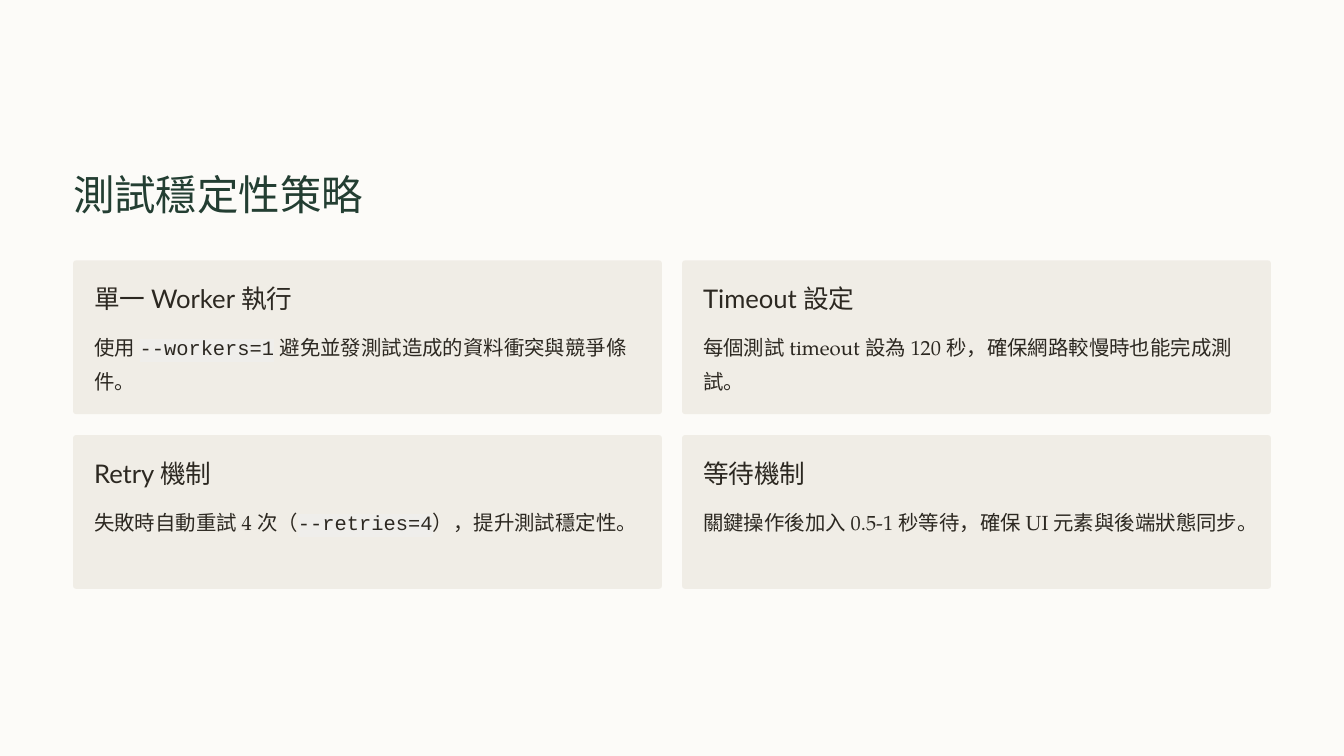
from pptx import Presentation
from pptx.dml.color import RGBColor
from pptx.enum.shapes import MSO_SHAPE
from pptx.oxml import parse_xml
from pptx.oxml.ns import nsdecls
from pptx.util import Inches, Pt

COLORS = {
    "page": "FCFBF8",
    "title": "233E32",
    "card": "F0EDE6",
    "ink": "2C2821",
    "code": "EFEEEB",
}
HEADING_FONT, BODY_FONT, CODE_FONT = "Lato", "TeX Gyre Pagella", "Courier New"

CARD_W, CARD_H = 7.01, 1.83
COLUMN_STEP, ROW_STEP = 7.25, 2.08
PADDING = 0.25

STRATEGIES = [
    ("單一 Worker 執行",
     ["使用 ", "--workers=1", " 避免並發測試造成的資料衝突與競爭條件。"], True),
    ("Timeout 設定",
     ["每個測試 timeout 設為 120 秒，確保網路較慢時也能完成測試。"], True),
    ("Retry 機制",
     ["失敗時自動重試 4 次（", "--retries=4", "），提升測試穩定性。"], False),
    ("等待機制",
     ["關鍵操作後加入 0.5-1 秒等待，確保 UI 元素與後端狀態同步。"], True),
]


def rgb(name):
    return RGBColor.from_string(COLORS[name])


def highlight(run):
    mark = parse_xml(
        f'<a:highlight {nsdecls("a")}><a:srgbClr val="{COLORS["code"]}"/></a:highlight>')
    run.font.name = CODE_FONT
    run.font.fill.solid()
    run.font.color.rgb = rgb("ink")
    run.font.fill._xPr.find(
        "{http://schemas.openxmlformats.org/drawingml/2006/main}solidFill").addnext(mark)


def add_text(slide, box, parts, font, size, spacing, color, wrap=False):
    frame = slide.shapes.add_textbox(*map(Inches, box)).text_frame
    frame.margin_left = frame.margin_right = frame.margin_top = frame.margin_bottom = 0
    frame.word_wrap = wrap
    paragraph = frame.paragraphs[0]
    paragraph.line_spacing = Pt(spacing)
    paragraph.font.size = Pt(size)
    paragraph.font.color.rgb = rgb(color)
    if len(parts) == 1:
        paragraph.font.name = font
    for part in parts:
        run = paragraph.add_run()
        run.text = part
        if part.startswith("--"):
            highlight(run)
        elif len(parts) > 1:
            run.font.name = font


def add_card(slide, left, top, heading, description, wrap):
    card = slide.shapes.add_shape(
        MSO_SHAPE.ROUNDED_RECTANGLE, *map(Inches, (left, top, CARD_W, CARD_H)))
    card.adjustments[0] = 0.02
    card.shadow.inherit = False
    card.fill.solid()
    card.fill.fore_color.rgb = rgb("card")
    card.line.fill.background()
    text_left, text_width = left + PADDING, CARD_W - 2 * PADDING
    add_text(slide, (text_left, top + PADDING, 3.1, 0.39), [heading],
             HEADING_FONT, 22, 27.5, "ink")
    add_text(slide, (text_left, top + 0.79, text_width, 0.8), description,
             BODY_FONT, 17.5, 28.5, "ink", wrap)


def add_strategy_grid(slide, left, top):
    for index, strategy in enumerate(STRATEGIES):
        row, column = divmod(index, 2)
        add_card(slide, left + column * COLUMN_STEP, top + row * ROW_STEP, *strategy)


def main():
    deck = Presentation()
    deck.slide_width, deck.slide_height = Inches(16), Inches(9)
    slide = deck.slides.add_slide(deck.slide_layouts[6])
    slide.background.fill.solid()
    slide.background.fill.fore_color.rgb = rgb("page")
    add_text(slide, (0.87, 1.99, 4.96, 0.62), ["測試穩定性策略"],
             HEADING_FONT, 35.5, 44.5, "title")
    add_strategy_grid(slide, 0.87, 3.1)
    deck.save("out.pptx")


if __name__ == "__main__":
    main()
